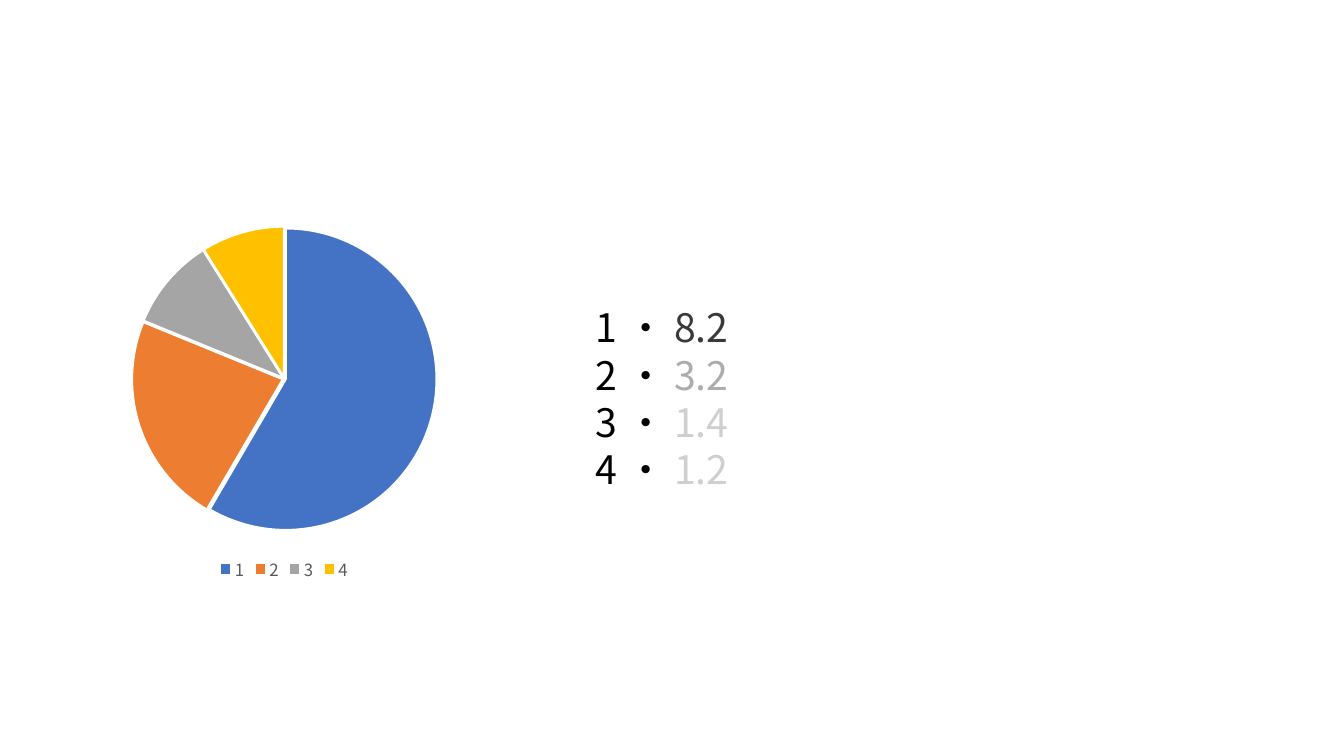
from lxml import etree
from pptx import Presentation
from pptx.chart.data import CategoryChartData as ChartData
from pptx.dml.color import RGBColor as RGB
from pptx.enum.chart import XL_CHART_TYPE as Kind, XL_LEGEND_POSITION as Spot
from pptx.oxml.ns import qn
from pptx.util import Inches, Pt

FONT = "Noto Sans CJK SC"
BLACK = RGB(0x00, 0x00, 0x00)
WHITE = RGB(0xFF, 0xFF, 0xFF)
GRAY = RGB(0x59, 0x59, 0x59)
DARK = RGB(0x3B, 0x38, 0x38)
MID = RGB(0xAF, 0xAB, 0xAB)
LIGHT = RGB(0xD0, 0xCE, 0xCE)
SLICES = [RGB(0x44, 0x72, 0xC4), RGB(0xED, 0x7D, 0x31),
          RGB(0xA5, 0xA5, 0xA5), RGB(0xFF, 0xC0, 0x00)]

prs = Presentation()
prs.slide_width, prs.slide_height = Inches(13.33), Inches(7.5)
slide = prs.slides.add_slide(prs.slide_layouts[6])

# Pie chart
data = ChartData()
data.categories = ["1", "2", "3", "4"]
data.add_series("Series 1", [59, 23, 10, 9])
chart = slide.shapes.add_chart(Kind.PIE, Inches(-0.13), Inches(2.11),
                               Inches(5.9), Inches(3.7), data).chart
chart.has_title = False
chart.font.name = FONT
chart.font.size = Pt(10)
chart.font.color.rgb = BLACK

chart.has_legend = True
legend = chart.legend
legend.position = Spot.BOTTOM
legend.include_in_layout = False
legend.font.name = FONT
legend.font.size = Pt(12)
legend.font.color.rgb = GRAY

plot = chart.plots[0]
plot.vary_by_categories = True
pie = plot.series[0]
for i, color in enumerate(SLICES):
    style = pie.points[i].format
    style.fill.solid()
    style.fill.fore_color.rgb = color
    style.line.color.rgb = WHITE
    style.line.width = Pt(1.5)
gap = etree.Element(qn("c:explosion"), val="1")
pie._element.find(qn("c:dPt")).addprevious(gap)

# Value list
box = slide.shapes.add_textbox(Inches(5.81), Inches(2.96),
                               Inches(4.78), Inches(1.99))
frame = box.text_frame
frame.word_wrap = True
rows = [("8.2", DARK), ("3.2", MID), ("1.4", LIGHT), ("1.2", LIGHT)]
for i, (value, shade) in enumerate(rows):
    para = frame.add_paragraph() if i else frame.paragraphs[0]
    para.line_spacing = Pt(33.8)
    para.font.name = FONT
    para.font.size = Pt(28)
    for text, color in [(f"{i + 1} · ", BLACK), (value, shade)]:
        run = para.add_run()
        run.text = text
        run.font.color.rgb = color
        # The East Asian face gives the dot its full width
        etree.SubElement(run.font._element, qn("a:ea"), typeface=FONT)

prs.save("out.pptx")
